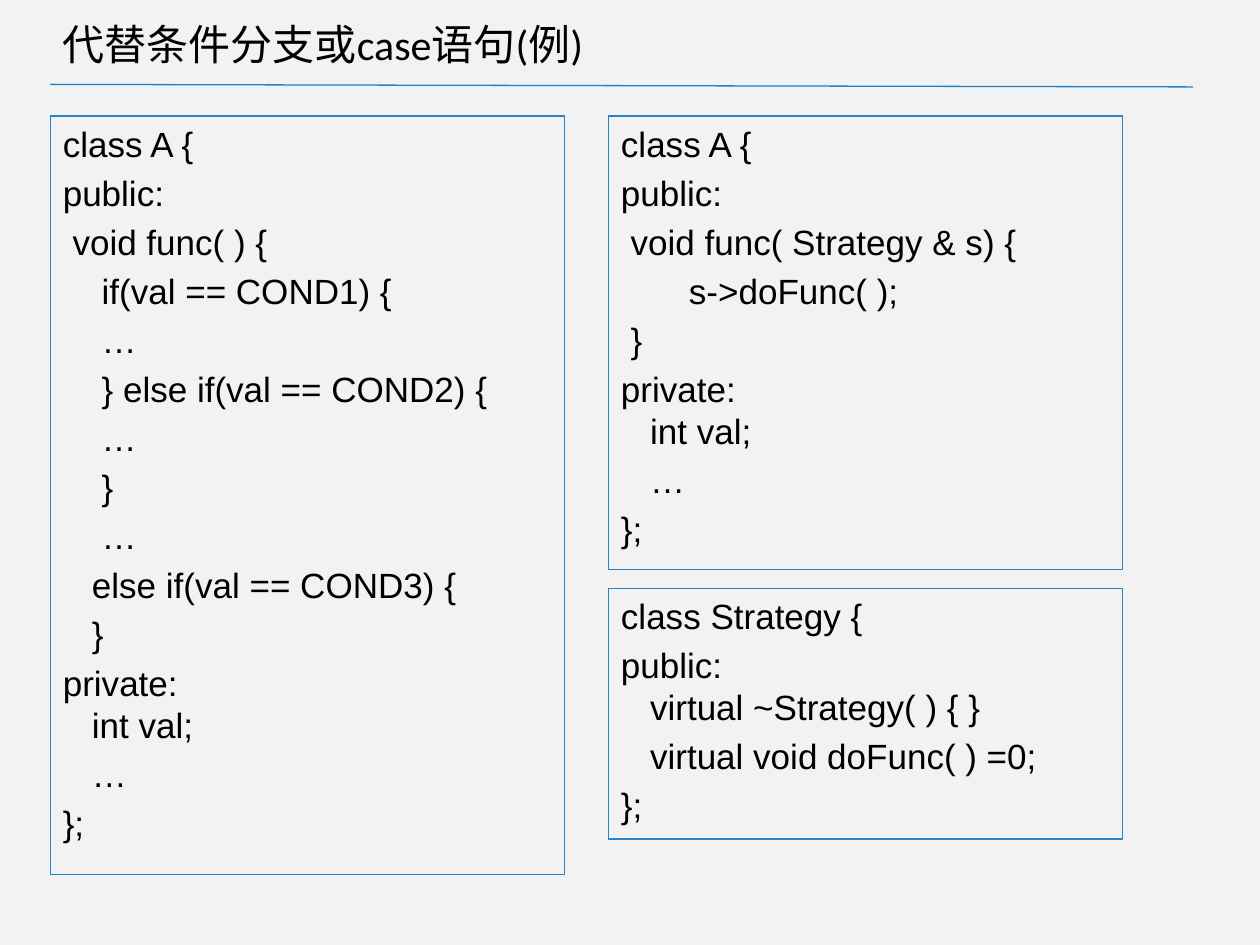
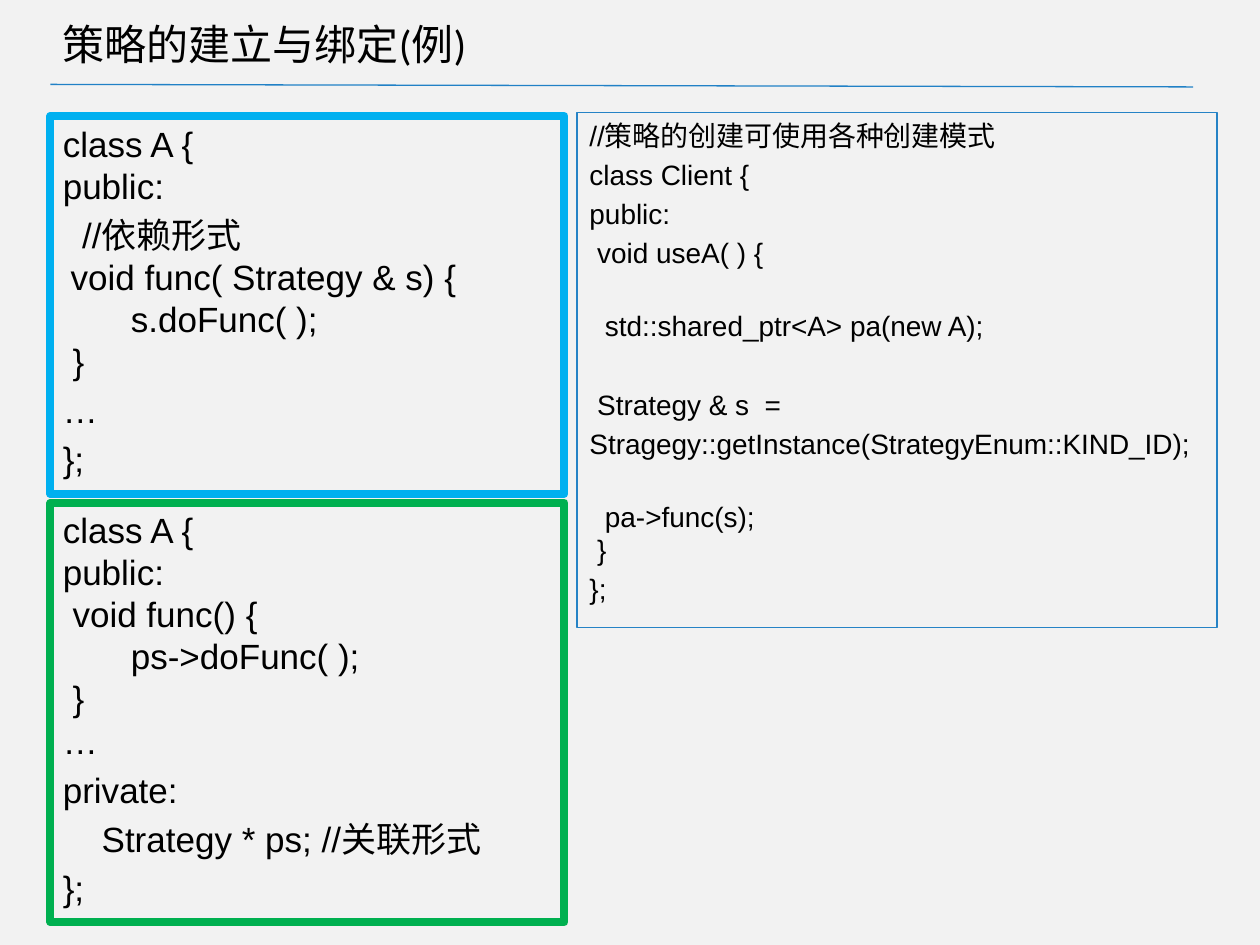
from lxml.etree import SubElement
from pptx import Presentation
from pptx.dml.color import RGBColor
from pptx.enum.shapes import MSO_CONNECTOR, MSO_SHAPE
from pptx.enum.text import MSO_ANCHOR, PP_ALIGN
from pptx.oxml.ns import qn
from pptx.util import Inches, Pt

BACKGROUND = RGBColor(0xF2, 0xF2, 0xF2)
RULE = RGBColor(0x21, 0x81, 0xC6)
BORDER = RGBColor(0x26, 0x83, 0xC6)
CYAN = RGBColor(0x00, 0xB0, 0xF0)
GREEN = RGBColor(0x00, 0xB0, 0x50)
BLACK = RGBColor(0, 0, 0)

EAST_ASIAN_FONT = "Noto Sans CJK SC"
LINE_PITCH = 1.2      # line height as a share of the text size
PARAGRAPH_GAP = 0.2   # space before a paragraph, same unit
LEFT, TOP, COLUMN = 0.4, 0.92, 4.08
RIGHT = 4.83

# A code paragraph is a string, or (string, blank lines above it).
BRANCHING_CLASS = [
    "class A {", "public:", " void func( ) {",
    "    if(val == COND1) {", "    …",
    "    } else if(val == COND2) {", "    …", "    }", "    …",
    "   else if(val == COND3) {", "   }",
    "private:\n   int val;", "   …", "};",
]
DELEGATING_CLASS = [
    "class A {", "public:", " void func( Strategy & s) {",
    "       s->doFunc( );", " }",
    "private:\n   int val;", "   …", "};",
]
STRATEGY_CLASS = [
    "class Strategy {", "public:\n   virtual ~Strategy( ) { }",
    "   virtual void doFunc( ) =0;", "};",
]
CLIENT_CLASS = [
    "//策略的创建可使用各种创建模式",
    "class Client {", "public:", " void useA( ) {",
    ("  std::shared_ptr<A> pa(new A);", 1),
    (" Strategy & s  =", 1 + PARAGRAPH_GAP / LINE_PITCH),
    "Stragegy::getInstance(StrategyEnum::KIND_ID);",
    ("  pa->func(s);\n }", 1), "};",
]
DEPENDENCY_CLASS = [
    "class A {\npublic:",
    "  //依赖形式\n void func( Strategy & s) {\n       s.doFunc( );\n }",
    "…", "};",
]
ASSOCIATION_CLASS = [
    "class A {\npublic:\n void func() {\n       ps->doFunc( );\n }\n…",
    "private:", "    Strategy * ps; //关联形式", "};",
]

THIN = {"color": BORDER, "width": 0.75, "size": 20}
SLIDES = [
    ("代替条件分支或case语句(例)", [
        (BRANCHING_CLASS, (LEFT, TOP, COLUMN, 6.02), THIN),
        (DELEGATING_CLASS, (RIGHT, TOP, COLUMN, 3.6), THIN),
        (STRATEGY_CLASS, (RIGHT, 4.67, COLUMN, 1.99), THIN),
    ]),
    ("策略的建立与绑定(例)", [
        (CLIENT_CLASS, (4.58, 0.89, 5.08, 4.09), {**THIN, "size": 16}),
        (DEPENDENCY_CLASS, (LEFT, TOP, COLUMN, 3),
         {"color": CYAN, "width": 4.5, "size": 20}),
        (ASSOCIATION_CLASS, (LEFT, 3.99, COLUMN, 3.33),
         {"color": GREEN, "width": 4.5, "size": 20}),
    ]),
]


def set_attributes(target, values):
    for name, value in values.items():
        setattr(target, name, value)


def style_runs(p, font, size):
    for r in p.runs:
        set_attributes(r.font, {"name": font, "size": Pt(size)})
        r.font.color.rgb = BLACK
        SubElement(r.font._element, qn("a:ea"), typeface=EAST_ASIAN_FONT)


def add_title(s, title):
    """Put the title and the rule below it on the slide."""
    line = s.shapes.add_connector(
        MSO_CONNECTOR.STRAIGHT, *map(Inches, (LEFT, 0.67, 9.47, 0.69)))
    set_attributes(line.line, {"width": Pt(0.75)})
    line.line.color.rgb = RULE
    SubElement(line._element.spPr, qn("a:effectLst"))

    tf = s.shapes.add_textbox(*map(Inches, (LEFT, 0.08, 8.62, 0.53))).text_frame
    set_attributes(tf, {"word_wrap": True, "vertical_anchor": MSO_ANCHOR.MIDDLE})
    p = tf.paragraphs[0]
    p.text = title
    style_runs(p, "Calibri", 24)


def add_code_box(s, code, frame, style):
    sp = s.shapes.add_shape(MSO_SHAPE.RECTANGLE, *map(Inches, frame))
    sp.shadow.inherit = False
    sp.fill.background()
    sp.line.color.rgb = style["color"]
    sp.line.width = Pt(style["width"])
    tf = sp.text_frame
    set_attributes(tf, {"word_wrap": True, "vertical_anchor": MSO_ANCHOR.TOP})
    size = style["size"]
    for i, item in enumerate(code):
        text, blank_lines = item if isinstance(item, tuple) else (item, 0)
        p = tf.add_paragraph() if i else tf.paragraphs[0]
        p.text = text
        gap = (PARAGRAPH_GAP + blank_lines * LINE_PITCH) * size if i else 0
        set_attributes(p, {"alignment": PP_ALIGN.LEFT,
                           "line_spacing": Pt(LINE_PITCH * size),
                           "space_before": Pt(gap)})
        style_runs(p, "Arial", size)


def main():
    prs = Presentation()
    set_attributes(prs, {"slide_width": Inches(10), "slide_height": Inches(7.5)})
    for title, boxes in SLIDES:
        s = prs.slides.add_slide(prs.slide_layouts[6])
        s.background.fill.solid()
        s.background.fill.fore_color.rgb = BACKGROUND
        add_title(s, title)
        for box in boxes:
            add_code_box(s, *box)
    prs.save("out.pptx")


if __name__ == "__main__":
    main()
